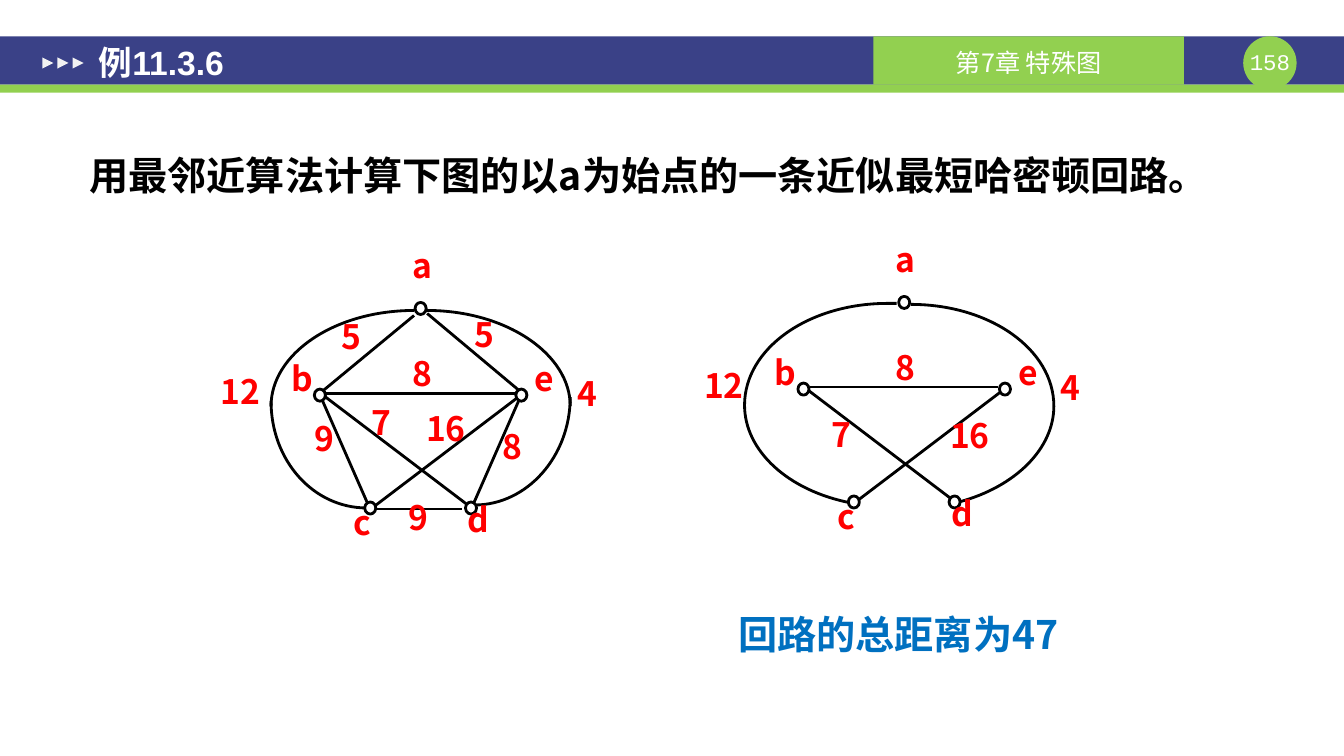
from lxml import etree
from pptx import Presentation
from pptx.dml.color import RGBColor
from pptx.enum.shapes import MSO_CONNECTOR, MSO_SHAPE
from pptx.enum.text import MSO_ANCHOR, PP_ALIGN
from pptx.oxml.ns import qn
from pptx.util import Inches, Pt

RECTANGLE, OVAL, TRIANGLE = MSO_SHAPE.RECTANGLE, MSO_SHAPE.OVAL, MSO_SHAPE.ISOSCELES_TRIANGLE
STRAIGHT = MSO_CONNECTOR.STRAIGHT
MIDDLE, TOP = MSO_ANCHOR.MIDDLE, MSO_ANCHOR.TOP
LEFT, CENTER, JUSTIFY = PP_ALIGN.LEFT, PP_ALIGN.CENTER, PP_ALIGN.JUSTIFY

COLORS = {"navy": "3A4187", "green": "92D050", "white": "FFFFFF", "pale": "F2F2F2",
          "black": "000000", "red": "FF0000", "blue": "0070C0"}
CHINESE = "Noto Sans CJK SC"

VERTEX_CORNERS = [(1.93, 0.57), (0.93, 1.43), (1.43, 2.55), (2.43, 2.55), (2.93, 1.43)]
EDGES = {
    "ab": ((1.92, 0.7), (1, 1.46)), "ae": ((2.05, 0.68), (2.97, 1.45)),
    "be": ((1.05, 1.47), (2.92, 1.47)), "bc": ((1, 1.52), (1.47, 2.59)),
    "bd": ((1.03, 1.5), (2.44, 2.57)), "ce": ((2.94, 1.52), (1.53, 2.59)),
    "de": ((2.97, 1.52), (2.5, 2.59)), "cd": ((1.54, 2.62), (2.4, 2.62)),
}
SHARED_LABELS = [("a", 1.9, 0), ("b", 0.7, 1.12), ("c", 1.32, 2.55), ("d", 2.45, 2.52),
                 ("e", 3.12, 1.12), ("8", 1.9, 1.07), ("12", 0, 1.25), ("4", 3.54, 1.27)]

FULL_GRAPH = {
    "edges": list(EDGES),
    "weights": [("5", 2.52, 0.68), ("5", 1.2, 0.7), ("8", 2.8, 1.8), ("9", 0.93, 1.72),
                ("9", 1.87, 2.5), ("16", 2.04, 1.62), ("7", 1.5, 1.56)],
    "curves": [
        [(1.92, 0.65), (1.13, 0.65), (0.5, 1.08), (0.5, 1.6)],
        [(2.05, 0.65), (2.83, 0.65), (3.47, 1.08), (3.47, 1.6)],
        [(2.52, 2.58), (3.04, 2.58), (3.47, 2.1), (3.47, 1.51)],
        [(1.45, 2.61), (0.92, 2.61), (0.5, 2.14), (0.5, 1.55)],
    ],
}
CIRCUIT = {
    "edges": ["be", "bd", "ce"],
    "weights": [("16", 2.44, 1.75), ("7", 1.26, 1.74)],
    "curves": [
        [(1.46, 2.62), (0.83, 2.5), (0.4, 2.1), (0.4, 1.65), (0.4, 1.09),
         (1.03, 0.64), (1.82, 0.64), (1.85, 0.64), (1.88, 0.64), (1.91, 0.64)],
        [(2.05, 0.65), (2.84, 0.65), (3.47, 1.1), (3.47, 1.66),
         (3.47, 2.08), (3.09, 2.46), (2.53, 2.61)],
    ],
}


def color(name):
    """Return the named colour."""
    return RGBColor.from_string(COLORS[name])


def write(shape, text, size, color_name, font=CHINESE, bold=False, align=LEFT,
          anchor=TOP, insets=(0.1, 0.05)):
    """Put one formatted paragraph into a shape and return the paragraph."""
    frame = shape.text_frame
    frame.word_wrap = True
    frame.vertical_anchor = anchor
    frame.margin_left = frame.margin_right = Inches(insets[0])
    frame.margin_top = frame.margin_bottom = Inches(insets[1])
    paragraph = frame.paragraphs[0]
    paragraph.text = text
    paragraph.alignment = align
    paragraph.font.name = font
    paragraph.font.size = Pt(size)
    paragraph.font.bold = bold
    paragraph.font.color.rgb = color(color_name)
    defaults = paragraph._p.pPr.find(qn("a:defRPr"))
    etree.SubElement(defaults, qn("a:ea")).set("typeface", CHINESE)
    return paragraph


def add_text(slide, box, text, size, color_name, **options):
    """Add a text box and return its paragraph."""
    shape = slide.shapes.add_textbox(*map(Inches, box))
    return write(shape, text, size, color_name, **options)


def add_filled(slide, kind, box, fill):
    """Add a flat shape without an outline."""
    shape = slide.shapes.add_shape(kind, *map(Inches, box))
    shape.shadow.inherit = False
    shape.fill.solid()
    shape.fill.fore_color.rgb = color(fill)
    shape.line.fill.background()
    return shape


def outline(shape):
    """Give a shape or connector the black graph line."""
    shape.line.color.rgb = color("black")
    shape.line.width = Pt(2)


def add_header(slide, box, title, chapter, number):
    """Draw the title bar with its chapter tab and page number."""
    left, top, width, height = box
    add_filled(slide, RECTANGLE, box, "navy")
    add_filled(slide, RECTANGLE, (left, top + height, width, 0.08), "green")
    add_filled(slide, OVAL, (left + 12.34, top, 0.53, 0.53), "green")
    add_text(slide, (left + 12.34, top + 0.12, 0.53, 0.27), number, 16, "white",
             font="Courier New", align=CENTER, insets=(0, 0))
    tab = add_filled(slide, RECTANGLE, (left + 8.67, top, 3.08, height), "green")
    write(tab, chapter, 18, "white", align=CENTER, anchor=MIDDLE, insets=(0.1, 0))
    tab.text_frame.margin_top = Inches(0.04)
    for index in range(3):
        arrow_box = (left + 0.42 + 0.15 * index, top + 0.21, 0.11, 0.11)
        add_filled(slide, TRIANGLE, arrow_box, "pale").rotation = 90
    heading = slide.shapes.title
    heading.left, heading.top = Inches(left + 0.85), Inches(top + 0.02)
    heading.width, heading.height = Inches(5.83), Inches(0.47)
    write(heading, title, 24, "white", font="Arial", bold=True, anchor=MIDDLE,
          insets=(0.13, 0.07))
    slide.shapes._spTree.append(heading._element)


def add_curve(slide, points):
    """Draw an open chain of cubic curves through its control points."""
    builder = slide.shapes.build_freeform(*points[0])
    builder.add_line_segments(points[1:], close=False)
    curve = builder.convert_to_shape()
    curve.shadow.inherit = False
    curve.fill.background()
    outline(curve)
    segments = list(curve._element.iter(qn("a:lnTo")))
    for start in range(0, len(segments), 3):
        cubic = etree.Element(qn("a:cubicBezTo"))
        segments[start].addprevious(cubic)
        for segment in segments[start:start + 3]:
            cubic.append(segment[0])
            segment.getparent().remove(segment)


def add_graph(slide, box, graph):
    """Draw a weighted graph: curves, edges, vertices and labels."""
    left, top = box

    def place(point):
        return Inches(left + point[0]), Inches(top + point[1])

    for controls in graph["curves"]:
        add_curve(slide, [place(point) for point in controls])
    for name in graph["edges"]:
        start, end = EDGES[name]
        edge = slide.shapes.add_connector(STRAIGHT, *place(start), *place(end))
        outline(edge)
        etree.SubElement(edge._element.spPr, qn("a:effectLst"))
    for x, y in VERTEX_CORNERS:
        outline(add_filled(slide, OVAL, (left + x, top + y, 0.11, 0.12), "white"))
    for text, x, y in SHARED_LABELS + graph["weights"]:
        add_text(slide, (left + x, top + y, 0.47, 0.4), text, 24, "red",
                 bold=True, align=JUSTIFY, insets=(0, 0))


def main():
    """Build and save the slide."""
    presentation = Presentation()
    presentation.slide_width, presentation.slide_height = Inches(13.34), Inches(7.5)
    slide = presentation.slides.add_slide(presentation.slide_layouts[5])
    add_header(slide, (0, 0.36, 13.34, 0.48), "例11.3.6", "第7章 特殊图", "158")
    question = add_text(slide, (0.79, 1.36, 11.76, 0.62),
                        "用最邻近算法计算下图的以a为始点的一条近似最短哈密顿回路。",
                        28, "black", bold=True, align=JUSTIFY)
    question.line_spacing = 1.2
    add_graph(slide, (2.19, 2.43), FULL_GRAPH)
    add_graph(slide, (6.99, 2.37), CIRCUIT)
    add_text(slide, (7.23, 6.01, 3.4, 0.57), "回路的总距离为47", 28, "blue", bold=True)
    presentation.save("out.pptx")


if __name__ == "__main__":
    main()
